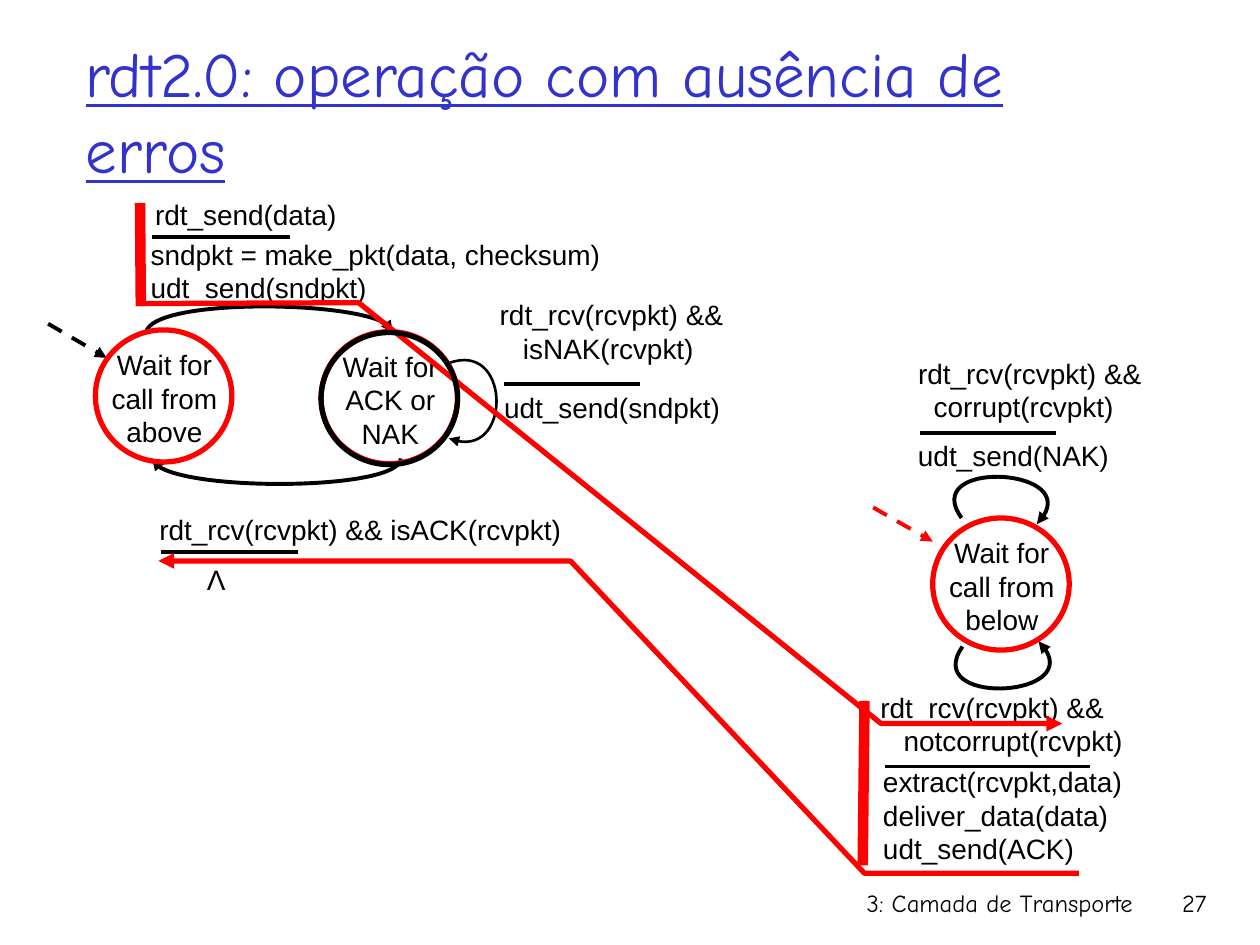
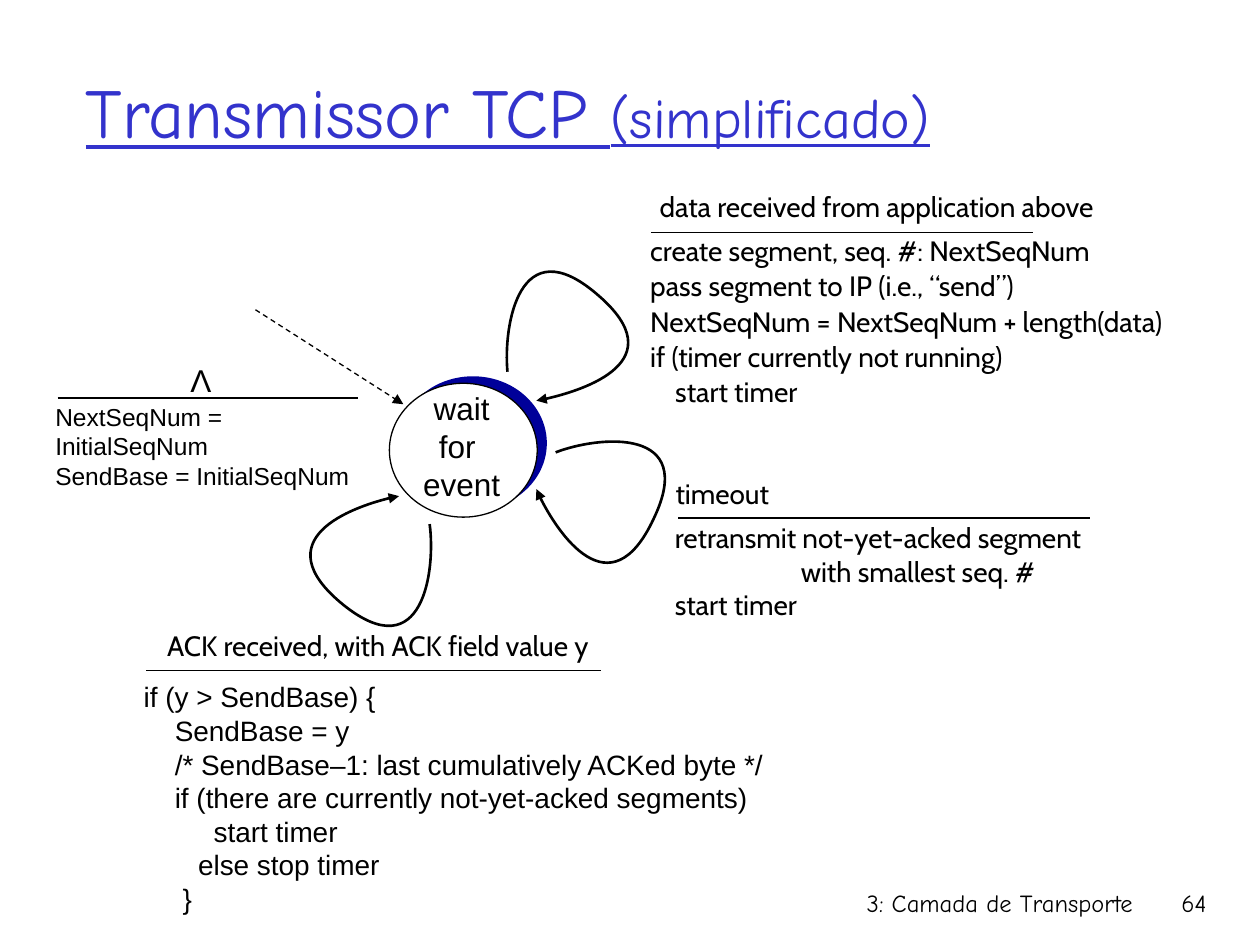
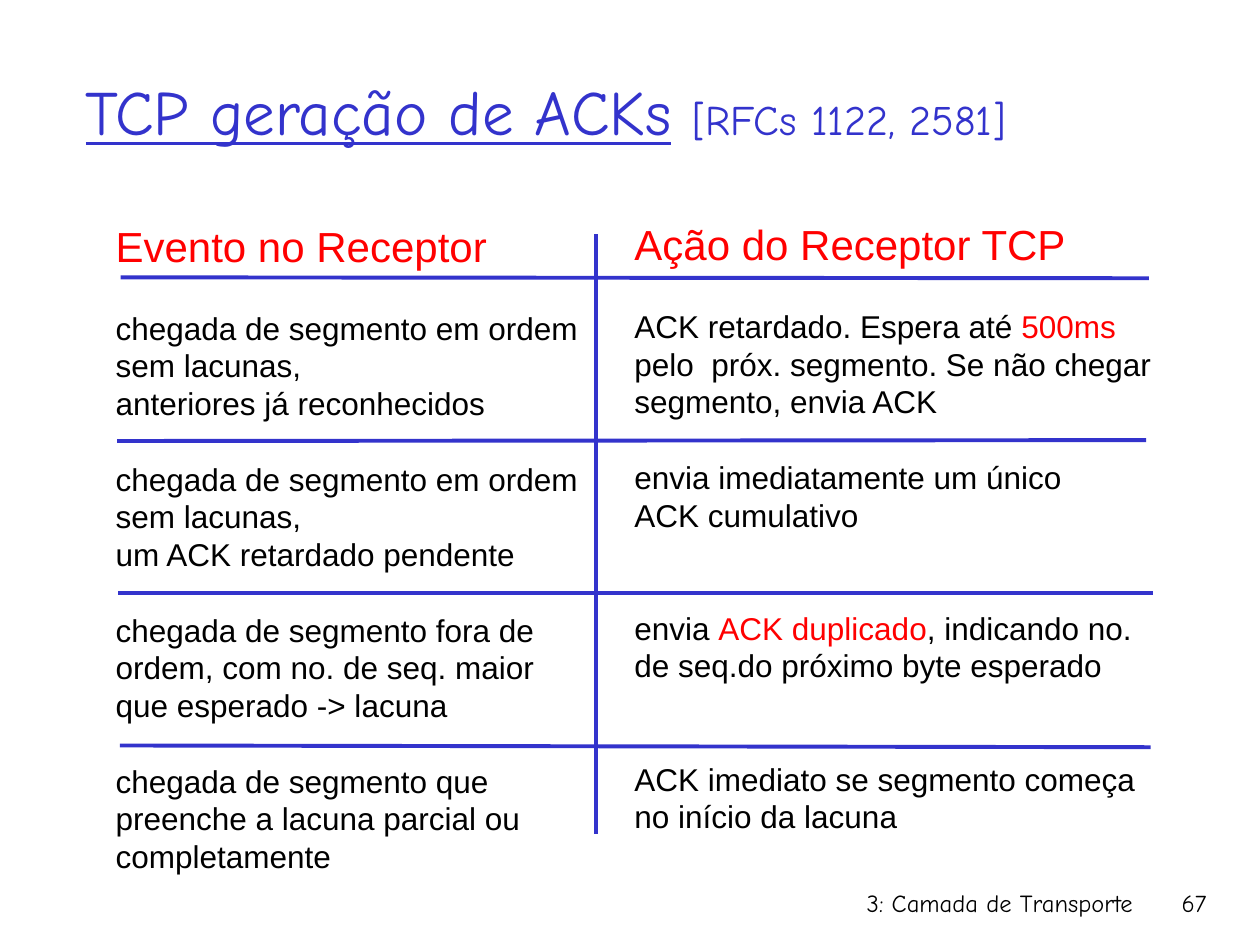
from dataclasses import dataclass

from lxml import etree
from pptx import Presentation
from pptx import util as u
from pptx.dml import color
from pptx.enum import dml, shapes, text
from pptx.oxml import ns


@dataclass(frozen=True)
class Theme:
    black: str = "000000"
    white: str = "FFFFFF"
    red: str = "FF0000"
    blue: str = "3333CC"
    navy: str = "000099"
    body_font: str = "Arial"
    label_font: str = "Cabin"
    title_font: str = "Comic Neue"
    title: int = 36
    big_title: int = 40
    subtitle: int = 32
    reference: int = 24
    heading: int = 24
    body: int = 18
    code: int = 16
    small: int = 14
    hairline: float = 0.75
    thin: float = 1.5
    medium: float = 2.25
    thick: float = 3
    bar: float = 6


@dataclass(frozen=True)
class Line:
    """One paragraph: a string, or a list of (string, format) runs."""
    content: object
    indent: float = 0
    before: float = 0


THEME = Theme()
RED = {"ink": THEME.red}
FOOTER = "3: Camada de Transporte"

# ---- Content: rdt2.0 state machines (boxes are left, top, width, height) ----
RDT_TITLE = [("rdt2.0: operação com ausência de erros", {})]
STATE_SIZE = (78, 75.5)
STATES = [  # corner, label, label box
    ((54.5, 188.5), "Wait for call from above", (47, 195, 94, 48)),
    ((183.5, 189.5), "Wait for ACK or NAK", (180.5, 196, 85, 48)),
    ((533, 296), "Wait for call from below", (525.5, 302.5, 94, 48)),
]
STATE_OUTLINES = [
    ((54.5, 188.5), THEME.red),
    ((183.5, 189.5), THEME.red),
    ((183.5, 190), THEME.black),
    ((533, 296), THEME.red),
]
RDT_TEXTS = [
    (["rdt_send(data)"], (81.5, 109.5, 178, 34)),
    (["sndpkt = make_pkt(data, checksum)", "udt_send(sndpkt)"], (79, 132, 287, 32)),
    (["rdt_rcv(rcvpkt) &&", Line("isNAK(rcvpkt)", 13.3)], (278.5, 166.5, 164, 50)),
    (["udt_send(sndpkt)"], (281, 219.5, 139, 32)),
    (["rdt_rcv(rcvpkt) && isACK(rcvpkt)"], (84, 289.5, 279, 22)),
    (["rdt_rcv(rcvpkt) &&", Line("corrupt(rcvpkt)", 8.9)], (517.5, 200, 151, 24.5)),
    (["udt_send(NAK)"], (517.5, 247, 144, 20)),
    (["rdt_rcv(rcvpkt) &&", Line("notcorrupt(rcvpkt)", 13.3)], (496, 391, 170, 55)),
    (["extract(rcvpkt,data)", "deliver_data(data)", "udt_send(ACK)"],
     (497.5, 433.5, 168.5, 49)),
]
RDT_RULES = [  # left, right, y
    (87, 165.5, 135.5), (288, 366, 219.5), (92, 170.5, 315.5),
    (525.5, 603.5, 247.5), (505.5, 623, 438),
]
RDT_TRANSITIONS = [  # Bézier points, width
    ([(83.5, 190), (86.5, 170.5), (224.5, 171.5), (224.5, 190)], THEME.medium),
    ([(229, 262), (229, 280), (90, 281.5), (87, 262)], THEME.medium),
    ([(256.5, 207.5), (291, 194.5), (293, 265), (256.5, 250.5)], THEME.thin),
    ([(549.5, 296), (525.5, 263), (624, 267), (592.5, 299.5)], THEME.medium),
    ([(550, 369.5), (526.5, 403), (625.5, 399), (593.5, 366.5)], THEME.medium),
]
START_ARROWS = [
    ((27.5, 185), (61, 204.5), THEME.black),
    ((499, 290), (533, 309.5), THEME.red),
]
ACTIVE_BARS = [((80, 116), (80.5, 175)), ((494, 400.5), (493, 494.5))]
MESSAGES = [
    [(80, 173.5), (205, 173), (503.5, 413.5), (607, 413.5)],
    [(616.5, 499), (494, 499), (326, 320.5), (90.5, 320.5)],
]

# ---- Content: simplified TCP sender ----
SENDER_TITLE = [("Transmissor TCP ", {"size": THEME.big_title}),
                ("(simplificado)", {"size": THEME.subtitle})]
EVENT_SIZE = (84.5, 76.5)
LABEL = {"font": THEME.label_font, "wrap": False}
CENTRED = {"align": text.PP_ALIGN.CENTER, "wrap": False}
SENDER_TEXTS = [
    (["wait", "for ", "event"], (234.5, 219, 58.5, 72), {**CENTRED, "size": THEME.body}),
    (["Λ"], (101.5, 202.5, 26.5, 29), {**CENTRED, "size": THEME.body}),
    (["NextSeqNum = InitialSeqNum", "SendBase = InitialSeqNum"],
     (24.5, 226, 195, 58), {"size": THEME.small}),
    (["data received from application above"], (363, 105, 276, 27),
     {**LABEL, **CENTRED}),
    (["create segment, seq. #: NextSeqNum", "pass segment to IP (i.e., “send”)",
      "NextSeqNum = NextSeqNum + length(data)", "if (timer currently not running)",
      Line("start timer", 14.3)],
     (364.5, 129, 332.5, 109), {**LABEL, "spacing": 1.05}),
    (["timeout"], (378.5, 268.5, 68.5, 27), {**LABEL, **CENTRED}),
    (["retransmit not-yet-acked segment", Line("with smallest seq. #", 72), "start timer"],
     (378.5, 294, 259, 65), LABEL),
    (["ACK received, with ACK field value y"], (78.5, 355.5, 275, 27),
     {**LABEL, **CENTRED}),
    (["if (y > SendBase) {", Line("SendBase = y", 17.8),
      Line("/* SendBase–1: last cumulatively ACKed byte */", 17.8),
      Line("if (there are currently not-yet-acked segments)", 17.8),
      Line("start timer", 40), Line("else stop timer", 31.1), Line("}", 22.2)],
     (75, 385, 370, 142), {"wrap": False}),
]
SENDER_RULES = [(33, 204.5, 227.5), (372, 590.5, 133), (387.5, 623, 296),
                (83.5, 343.5, 383)]
SENDER_LOOPS = [
    [(290, 212.5), (287.5, 186.5), (296.5, 129.5), (341.5, 168.5),
     (386, 206.5), (325.5, 226), (306.5, 229)],
    [(317.5, 258.5), (342, 249), (399, 243.5), (373.5, 296.5),
     (348.5, 350), (313, 296.5), (306.5, 279.5)],
    [(245.5, 299.5), (249, 325.5), (242, 382.5), (196, 345.5),
     (150, 308), (209.5, 286.5), (228, 283.5)],
]

# ---- Content: ACK generation ----
ACK_TITLE = [("TCP geração de ACKs", {}), (" ", {"underline": False}),
             ("[RFCs 1122, 2581]", {"size": THEME.reference, "underline": False})]
ROW_LINES = 4    # each row takes four text lines
LINE_PITCH = 21.5
ACK_COLUMNS = [  # heading, rows, box
    ("Evento no Receptor", [
        ["chegada de segmento em ordem", "sem lacunas,", "anteriores já reconhecidos"],
        ["chegada de segmento em ordem", "sem lacunas,", "um ACK retardado pendente"],
        ["chegada de segmento fora de", "ordem, com no. de seq. maior",
         "que esperado -> lacuna"],
        ["chegada de segmento que", "preenche a lacuna parcial ou", "completamente"],
    ], (59, 122.5, 278.5, 415)),
    ("Ação do Receptor TCP", [
        [[("ACK retardado. Espera até ", {}), ("500ms", RED)],
         "pelo  próx. segmento. Se não chegar", "segmento, envia ACK"],
        ["envia imediatamente um único", "ACK cumulativo"],
        [[("envia ", {}), ("ACK duplicado", RED), (", indicando no.", {})],
         "de seq.do próximo byte esperado"],
        ["ACK imediato se segmento começa", "no início da lacuna"],
    ], (355.5, 121.5, 309.5, 394)),
]
ACK_GRID = [
    ((69, 158.5), (656.5, 159)), ((67, 252), (655, 251.5)),
    ((67.5, 339), (659, 339)), ((68.5, 426), (657.5, 427)),
    ((340.5, 134), (340.5, 476.5)),
]


# ---- Drawing helpers ----
def points(values):
    return [u.Pt(value) for value in values]


def rgb(value):
    return color.RGBColor.from_string(value)


def write(slide, lines, box, *, size=THEME.code, font=THEME.body_font, ink=THEME.black,
          align=text.PP_ALIGN.LEFT, anchor=text.MSO_ANCHOR.TOP, wrap=True,
          underline=False, spacing=None):
    """Add a text box; every entry of lines becomes a paragraph."""
    frame = slide.shapes.add_textbox(*points(box)).text_frame
    frame.word_wrap = wrap
    frame.vertical_anchor = anchor
    if not wrap:
        frame.auto_size = text.MSO_AUTO_SIZE.SHAPE_TO_FIT_TEXT
    defaults = {"size": size, "ink": ink, "underline": underline}
    for index, line in enumerate(lines):
        line = line if isinstance(line, Line) else Line(line)
        paragraph = frame.add_paragraph() if index else frame.paragraphs[0]
        paragraph.alignment = align
        if spacing:
            paragraph.line_spacing = spacing
        if line.before:
            paragraph.space_before = u.Pt(line.before)
        if line.indent:
            paragraph._p.get_or_add_pPr().set("marL", str(u.Pt(line.indent)))
        runs = [(line.content, {})] if isinstance(line.content, str) else line.content
        for content, changes in runs:
            style = {**defaults, **changes}
            run = paragraph.add_run()
            run.text = content
            run.font.name = font
            run.font.size = u.Pt(style["size"])
            run.font.color.rgb = rgb(style["ink"])
            run.font.underline = style["underline"]


def stroke(shape, ink, width, dashed=False, arrow=False):
    shape.line.color.rgb = rgb(ink)
    shape.line.width = u.Pt(width)
    if dashed:
        shape.line.dash_style = dml.MSO_LINE.DASH
    if arrow:
        outline = shape.element.spPr.find(ns.qn("a:ln"))
        etree.SubElement(outline, ns.qn("a:tailEnd"), type="triangle")


def connect(slide, start, end, ink=THEME.black, width=THEME.medium, **style):
    connector = slide.shapes.add_connector(
        shapes.MSO_CONNECTOR.STRAIGHT, *points(start + end))
    stroke(connector, ink, width, **style)
    etree.SubElement(connector.element.spPr, ns.qn("a:effectLst"))


def rules(slide, items, width):
    for left, right, y in items:
        connect(slide, (left, y), (right, y), width=width)


def arrow_through(slide, vertices, ink, width, curved=False):
    """Draw an open outline with an arrowhead, straight or cubic Bézier."""
    start, *rest = [points(vertex) for vertex in vertices]
    builder = slide.shapes.build_freeform(*start)
    builder.add_line_segments(rest, close=False)
    shape = builder.convert_to_shape()
    shape.shadow.inherit = False
    shape.fill.background()
    stroke(shape, ink, width, arrow=True)
    if curved:
        segments = list(shape.element.iter(ns.qn("a:lnTo")))
        outline = segments[0].getparent()
        for index in range(0, len(segments), 3):
            curve = etree.SubElement(outline, ns.qn("a:cubicBezTo"))
            for segment in segments[index:index + 3]:
                curve.append(segment[0])
                outline.remove(segment)


def ellipse(slide, corner, size, fill=None, ink=None, width=THEME.thin):
    shape = slide.shapes.add_shape(shapes.MSO_SHAPE.OVAL, *points(corner + size))
    shape.shadow.inherit = False
    if fill:
        shape.fill.solid()
        shape.fill.fore_color.rgb = rgb(fill)
    else:
        shape.fill.background()
    if ink:
        stroke(shape, ink, width)
    else:
        shape.line.fill.background()


def new_slide(presentation, title, number):
    """Blank slide with the shared title style and footer."""
    slide = presentation.slides.add_slide(presentation.slide_layouts[6])
    write(slide, [Line(title)], (42, 18, 612, 90), size=THEME.title,
          font=THEME.title_font, ink=THEME.blue, underline=True,
          anchor=text.MSO_ANCHOR.MIDDLE)
    for content, left, width in ((FOOTER, 426, 228.5), (str(number), 643, 53.5)):
        write(slide, [content], (left, 504, width, 36), size=THEME.small,
              font=THEME.title_font, align=text.PP_ALIGN.RIGHT)
    return slide


# ---- Slides ----
def rdt_slide(presentation):
    slide = new_slide(presentation, RDT_TITLE, 27)
    for corner, label, box in STATES:
        ellipse(slide, corner, STATE_SIZE, THEME.white, THEME.black)
        write(slide, [label], box, align=text.PP_ALIGN.CENTER)
    for lines, box in RDT_TEXTS:
        write(slide, lines, box)
    write(slide, ["Λ"], (111, 318, 25, 27), **CENTRED)
    rules(slide, RDT_RULES, THEME.medium)
    for vertices, width in RDT_TRANSITIONS:
        arrow_through(slide, vertices, THEME.black, width, curved=True)
    for start, end, ink in START_ARROWS:
        connect(slide, start, end, ink, dashed=True, arrow=True)
    # Active actions and the messages between the two sides
    for start, end in ACTIVE_BARS:
        connect(slide, start, end, THEME.red, THEME.bar)
    for vertices in MESSAGES:
        arrow_through(slide, vertices, THEME.red, THEME.thick)
    for corner, ink in STATE_OUTLINES:
        ellipse(slide, corner, STATE_SIZE, ink=ink, width=THEME.thick)


def sender_slide(presentation):
    slide = new_slide(presentation, SENDER_TITLE, 64)
    ellipse(slide, (228, 215), EVENT_SIZE, THEME.navy)
    ellipse(slide, (222.5, 219), EVENT_SIZE, THEME.white, THEME.black, THEME.hairline)
    connect(slide, (146, 177), (230.5, 231), width=THEME.hairline,
            dashed=True, arrow=True)
    for lines, box, style in SENDER_TEXTS:
        write(slide, lines, box, **style)
    rules(slide, SENDER_RULES, THEME.hairline)
    for vertices in SENDER_LOOPS:
        arrow_through(slide, vertices, THEME.black, THEME.thin, curved=True)


def ack_slide(presentation):
    slide = new_slide(presentation, ACK_TITLE, 67)
    for heading, rows, box in ACK_COLUMNS:
        lines = [Line([(heading, {"size": THEME.heading, **RED})])]
        gap = LINE_PITCH
        for first, *others in rows:
            lines += [Line(first, before=gap), *others]
            gap = LINE_PITCH * (ROW_LINES - 1 - len(others))
        write(slide, lines, box, size=THEME.body, wrap=False)
    for start, end in ACK_GRID:
        connect(slide, start, end, THEME.blue)


def main():
    presentation = Presentation()
    presentation.slide_width, presentation.slide_height = points((720, 540))
    for build in (rdt_slide, sender_slide, ack_slide):
        build(presentation)
    presentation.save("out.pptx")


if __name__ == "__main__":
    main()
